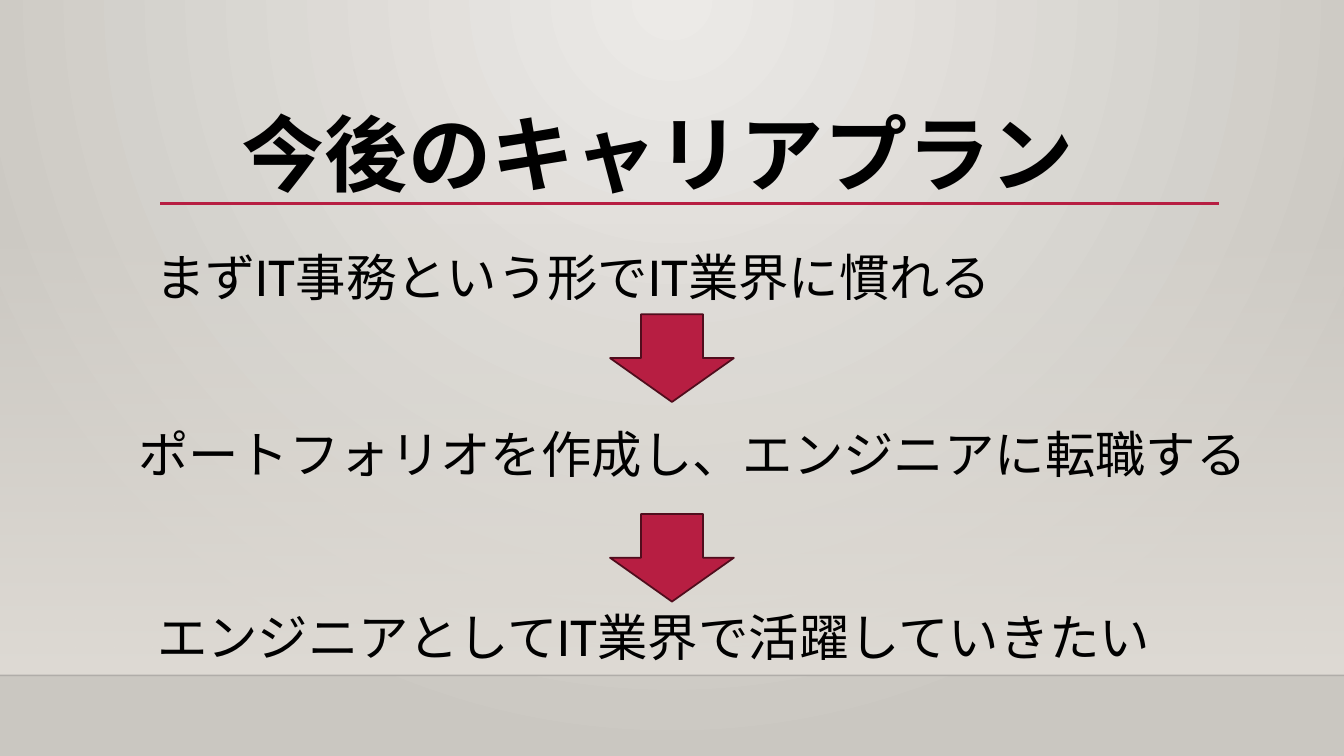
from lxml.etree import SubElement
from pptx import Presentation
from pptx.dml.color import RGBColor
from pptx.enum.shapes import MSO_CONNECTOR as Connector, MSO_SHAPE as Shape
from pptx.enum.text import MSO_ANCHOR as Anchor, MSO_AUTO_SIZE as AutoSize, PP_ALIGN as Align
from pptx.oxml.ns import qn
from pptx.util import Cm, Pt

WIDTH, HEIGHT = Cm(33.87), Cm(19.05)
FLOOR_TOP = Cm(17.02)

BLACK = RGBColor(0x00, 0x00, 0x00)
CRIMSON = RGBColor(0xB7, 0x1E, 0x42)
DARK_RED = RGBColor(0x50, 0x0D, 0x1D)
LIGHT = RGBColor(0xEC, 0xEA, 0xE7)
GREY = RGBColor(0xCA, 0xC7, 0xC1)
SAND = RGBColor(0xDF, 0xDB, 0xD5)
FLOOR_EDGE = RGBColor(0x00, 0x00, 0x01)

TITLE_FONT = {"name": "Arial", "size": Pt(59.4), "bold": True}
STEP_FONT = {"name": "Cabin", "size": Pt(36)}

STEPS = [
    ("まずIT事務という形でIT業界に慣れる", (3.66, 6.07, 22.17, 1.8)),
    ("ポートフォリオを作成し、エンジニアに転職する", (3.23, 10.54, 29.95, 1.8)),
    ("エンジニアとしてIT業界で活躍していきたい", (3.71, 15.14, 27.81, 1.85)),
]
ARROW_TOPS = [7.92, 12.95]


def set_alpha(color_element, percent):
    SubElement(color_element, qn("a:alpha"), val=str(percent * 1000))


def set_gradient(fill, colors):
    fill.gradient()
    for stop, color, position in zip(fill.gradient_stops, colors, (0, 1)):
        stop.color.rgb = color
        stop.position = position


def paint_background(slide):
    """Radial gradient that spreads from the middle of the top edge."""
    set_gradient(slide.background.fill, (LIGHT, GREY))
    gradient = slide.element.find(".//" + qn("a:gradFill"))
    gradient.remove(gradient.find(qn("a:lin")))
    circle = SubElement(gradient, qn("a:path"), path="circle")
    SubElement(circle, qn("a:fillToRect"), l="43000", t="0", r="43000", b="100000")


def add_wall_shade(slide):
    """Band above the floor that fades in from top to bottom."""
    top = Cm(5.61)
    shade = slide.shapes.add_shape(Shape.RECTANGLE, 0, top, WIDTH, FLOOR_TOP - top)
    shade.shadow.inherit = False
    shade.line.fill.background()
    set_gradient(shade.fill, (SAND, SAND))
    shade.fill.gradient_angle = 270
    first_color = shade.element.spPr.find(".//" + qn("a:srgbClr"))
    set_alpha(first_color, 0)


def add_rule(slide, left, right, top, color, width, alpha=100):
    rule = slide.shapes.add_connector(Connector.STRAIGHT, left, top, right, top)
    rule.line.color.rgb = color
    rule.line.width = Pt(width)
    properties = rule.element.spPr
    if alpha < 100:
        set_alpha(properties.find(".//" + qn("a:srgbClr")), alpha)
    SubElement(properties, qn("a:effectLst"))


def write_text(shape, text, font_format, auto_size):
    frame = shape.text_frame
    frame.word_wrap = True
    frame.auto_size = auto_size
    frame.vertical_anchor = Anchor.TOP
    paragraph = frame.paragraphs[0]
    paragraph.alignment = Align.LEFT
    run = paragraph.add_run()
    run.text = text
    for name, value in font_format.items():
        setattr(run.font, name, value)
    run.font.color.rgb = BLACK
    return paragraph


def add_title(slide, text):
    title = slide.shapes.title
    title.left, title.top, title.width, title.height = map(Cm, (5.84, 2.74, 22.17, 1.5))
    paragraph = write_text(title, text, TITLE_FONT, AutoSize.NONE)
    paragraph.line_spacing = 0.9


def add_step(slide, text, box):
    step = slide.shapes.add_textbox(*map(Cm, box))
    write_text(step, text, STEP_FONT, AutoSize.SHAPE_TO_FIT_TEXT)


def add_down_arrow(slide, top):
    width, height = Cm(3.12), Cm(2.21)
    left = (WIDTH - width) // 2
    arrow = slide.shapes.add_shape(Shape.DOWN_ARROW, left, top, width, height)
    arrow.shadow.inherit = False
    arrow.fill.solid()
    arrow.fill.fore_color.rgb = CRIMSON
    arrow.line.color.rgb = DARK_RED
    arrow.line.width = Pt(1.25)


def main():
    presentation = Presentation()
    presentation.slide_width, presentation.slide_height = WIDTH, HEIGHT
    slide = presentation.slides.add_slide(presentation.slide_layouts.get_by_name("Title Only"))

    paint_background(slide)
    add_wall_shade(slide)
    add_rule(slide, 0, WIDTH, FLOOR_TOP, FLOOR_EDGE, 1, alpha=20)
    add_rule(slide, Cm(4.04), Cm(30.73), Cm(5.13), CRIMSON, 2.5)
    add_title(slide, "今後のキャリアプラン")
    for text, box in STEPS:
        add_step(slide, text, box)
    for top in ARROW_TOPS:
        add_down_arrow(slide, Cm(top))

    presentation.save("out.pptx")


if __name__ == "__main__":
    main()
